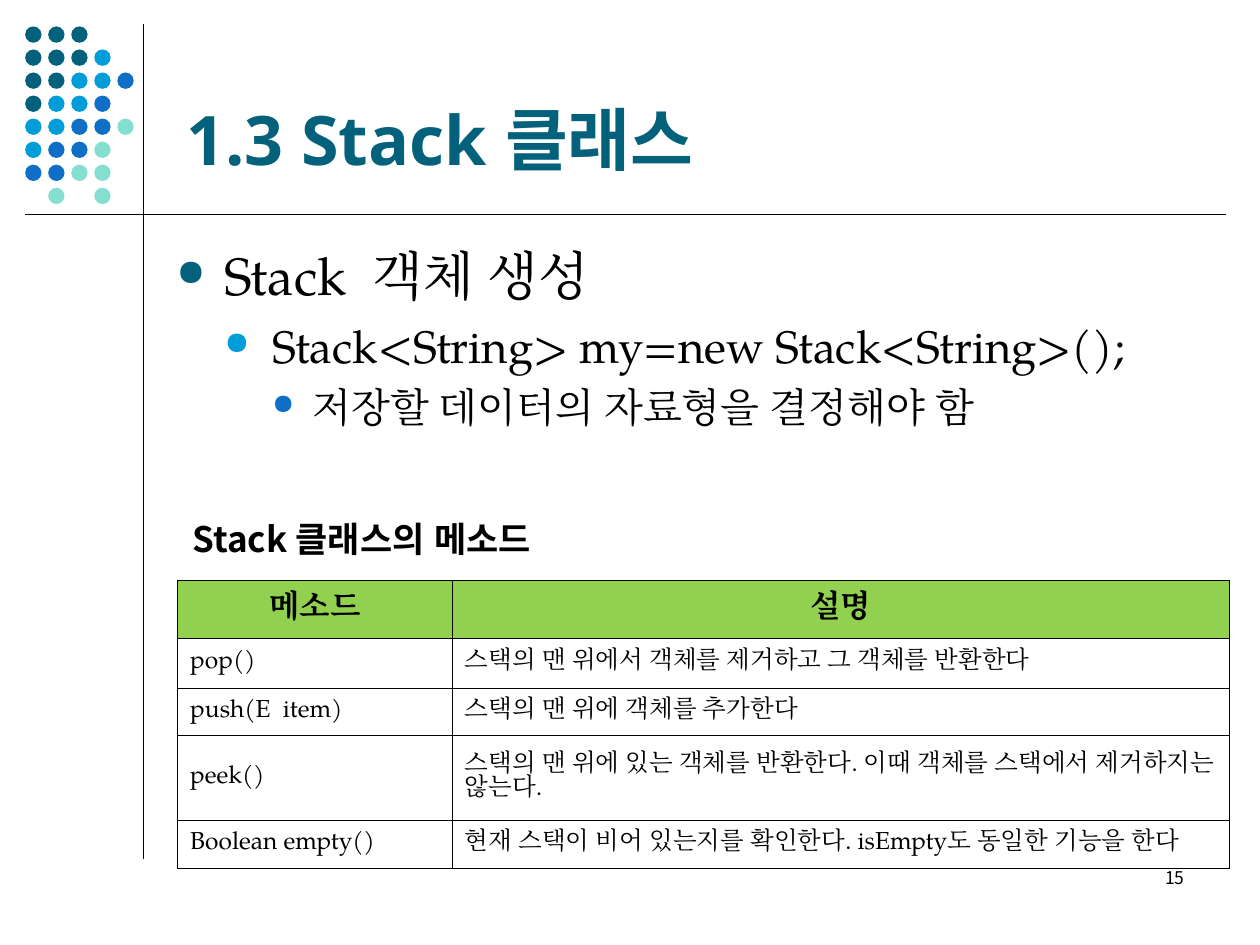
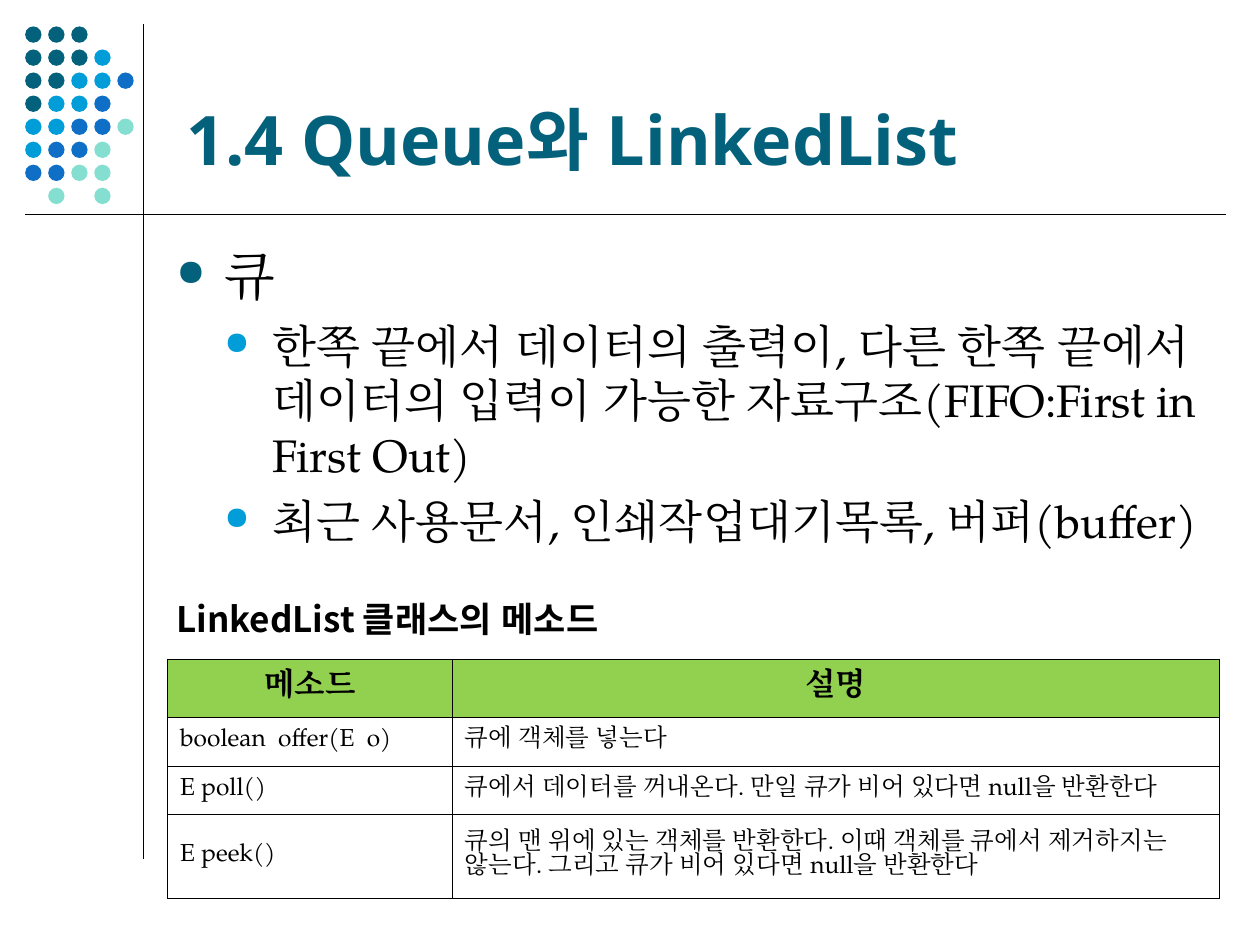
from lxml.etree import SubElement
from pptx import Presentation
from pptx.dml.color import RGBColor
from pptx.enum.shapes import MSO_CONNECTOR, MSO_SHAPE
from pptx.enum.text import MSO_ANCHOR, MSO_AUTO_SIZE, PP_ALIGN
from pptx.oxml.ns import qn
from pptx.util import Inches, Pt

BLACK = RGBColor(0x00, 0x00, 0x00)
WHITE = RGBColor(0xFF, 0xFF, 0xFF)
TEAL = RGBColor(0x04, 0x61, 0x7B)
SKY = RGBColor(0x00, 0x9D, 0xD9)
BLUE = RGBColor(0x0F, 0x6F, 0xC6)
MINT = RGBColor(0x85, 0xDF, 0xD0)
GREEN = RGBColor(0x92, 0xD0, 0x50)

HEAD = "Open Sans"
SERIF = "TeX Gyre Pagella"
SANS = "Noto Sans CJK KR"

DOTS = ["TTT", "TTTS", "TTSSB", "TSSB", "SSBBM", "SBBM", "BBMM", " M M"]
TONES = {"T": TEAL, "S": SKY, "B": BLUE, "M": MINT}
STEP = 1.28 / 7

# Per list level: text size, bullet colour, left margin, hanging indent
LEVELS = [(30, TEAL, 0.38, 0.38), (26, SKY, 0.76, 0.38), (23, BLUE, 1.08, 0.32)]


def write(para, text, size, font=SERIF, asian=None, color=BLACK, bold=False,
          align=PP_ALIGN.LEFT):
    para.alignment = align
    run = para.add_run()
    run.text = text
    run.font.size = Pt(size)
    run.font.bold = bold
    run.font.color.rgb = color
    run.font.name = font
    SubElement(run._r.get_or_add_rPr(), qn("a:ea"), typeface=asian or font)


def place(shape, left, top, width, height):
    shape.left, shape.top = Inches(left), Inches(top)
    shape.width, shape.height = Inches(width), Inches(height)


def add_line(slide, x1, y1, x2, y2):
    line = slide.shapes.add_connector(
        MSO_CONNECTOR.STRAIGHT, Inches(x1), Inches(y1), Inches(x2), Inches(y2))
    line.line.color.rgb = BLACK
    line.line.width = Pt(0.75)
    SubElement(line._element.spPr, qn("a:effectLst"))


def add_frame(slide):
    """Draw the dot pattern and the two crossing rules."""
    add_line(slide, 1.14, 0.19, 1.14, 6.82)
    for row, tones in enumerate(DOTS):
        for col, tone in enumerate(tones):
            if tone == " ":
                continue
            dot = slide.shapes.add_shape(
                MSO_SHAPE.OVAL, Inches(0.2 + col * STEP),
                Inches(0.21 + row * STEP), Inches(0.13), Inches(0.13))
            dot.shadow.inherit = False
            dot.fill.solid()
            dot.fill.fore_color.rgb = TONES[tone]
            dot.line.fill.background()
    add_line(slide, 0.2, 1.7, 9.73, 1.7)


def add_title(slide, text):
    title = slide.shapes.title
    place(title, 1.38, 0.21, 8.25, 1.26)
    frame = title.text_frame
    frame.auto_size = MSO_AUTO_SIZE.NONE
    frame.vertical_anchor = MSO_ANCHOR.BOTTOM
    write(frame.paragraphs[0], text, 39, font=HEAD, color=TEAL, bold=True)


def set_bullet(para, color, left, hang):
    props = para._p.get_or_add_pPr()
    props.set("marL", str(Inches(left)))
    props.set("indent", str(-Inches(hang)))
    tint = SubElement(props, qn("a:buClr"))
    SubElement(tint, qn("a:srgbClr"), val=str(color))
    SubElement(props, qn("a:buSzPct"), val="70000")
    SubElement(props, qn("a:buFont"), typeface="OpenSymbol")
    SubElement(props, qn("a:buChar"), char="●")


def add_list(slide, items, width):
    body = slide.placeholders[1]
    place(body, 1.3, 1.88, width, 4.82)
    frame = body.text_frame
    frame.auto_size = MSO_AUTO_SIZE.NONE
    frame.vertical_anchor = MSO_ANCHOR.TOP
    for index, (level, text) in enumerate(items):
        para = frame.add_paragraph() if index else frame.paragraphs[0]
        size, color, left, hang = LEVELS[level]
        para.level = level
        para.space_before = Pt(size / 4)
        set_bullet(para, color, left, hang)
        write(para, text, size)


def add_label(slide, text, left, top, width, height=0.44, size=20, bold=True,
              align=PP_ALIGN.LEFT, wrap=False):
    box = slide.shapes.add_textbox(
        Inches(left), Inches(top), Inches(width), Inches(height))
    frame = box.text_frame
    frame.word_wrap = wrap
    if not wrap:
        frame.auto_size = MSO_AUTO_SIZE.SHAPE_TO_FIT_TEXT
    write(frame.paragraphs[0], text, size, font=SANS, asian=HEAD, bold=bold,
          align=align)


def set_cell(cell, text, fill, **style):
    props = cell._tc.get_or_add_tcPr()
    for side in ("lnL", "lnR", "lnT", "lnB"):
        edge = SubElement(props, qn(f"a:{side}"), w=str(Pt(0.45)))
        paint = SubElement(edge, qn("a:solidFill"))
        SubElement(paint, qn("a:srgbClr"), val=str(BLACK))
    cell.fill.solid()
    cell.fill.fore_color.rgb = fill
    cell.vertical_anchor = MSO_ANCHOR.MIDDLE
    write(cell.text_frame.paragraphs[0], text, **style)


def add_methods(slide, rows, left, top, widths, heights):
    """Add a table of methods under a green header row."""
    table = slide.shapes.add_table(
        len(rows) + 1, 2, Inches(left), Inches(top),
        Inches(sum(widths)), Inches(sum(heights))).table
    table.horz_banding = False
    for column, width in zip(table.columns, widths):
        column.width = Inches(width)
    for row, height in zip(table.rows, heights):
        row.height = Inches(height)
    for col, text in enumerate(("메소드", "설명")):
        set_cell(table.cell(0, col), text, GREEN, size=18, bold=True,
                 align=PP_ALIGN.CENTER)
    for index, texts in enumerate(rows, 1):
        for col, text in enumerate(texts):
            set_cell(table.cell(index, col), text, WHITE, size=14)


def add_page(deck, title, items, width):
    slide = deck.slides.add_slide(deck.slide_layouts[1])
    add_frame(slide)
    add_title(slide, title)
    add_list(slide, items, width)
    return slide


def add_stack(deck):
    slide = add_page(deck, "1.3 Stack 클래스", [
        (0, "Stack  객체 생성"),
        (1, "Stack<String> my=new Stack<String>();"),
        (2, "저장할 데이터의 자료형을 결정해야 함"),
    ], width=8.2)
    add_label(slide, "15", 7.17, 6.83, 2.33, height=0.5, size=10, bold=False,
              align=PP_ALIGN.RIGHT, wrap=True)
    add_methods(slide, [
        ("pop()", "스택의 맨 위에서 객체를 제거하고 그 객체를 반환한다"),
        ("push(E  item)", "스택의 맨 위에 객체를 추가한다"),
        ("peek()", "스택의 맨 위에 있는 객체를 반환한다. "
                   "이때 객체를 스택에서 제거하지는 않는다."),
        ("Boolean empty()", "현재 스택이 비어 있는지를 확인한다. "
                            "isEmpty도 동일한 기능을 한다"),
    ], 1.41, 4.61, [2.18, 6.17], [0.46, 0.39, 0.38, 0.67, 0.38])
    add_label(slide, "Stack 클래스의 메소드", 1.43, 4.06, 2.96)


def add_queue(deck):
    slide = add_page(deck, "1.4 Queue와 LinkedList", [
        (0, "큐"),
        (1, "한쪽 끝에서 데이터의 출력이, 다른 한쪽 끝에서 데이터의 입력이 "
            "가능한 자료구조(FIFO:First in First Out)"),
        (1, "최근 사용문서, 인쇄작업대기목록, 버퍼(buffer)"),
    ], width=8.47)
    add_methods(slide, [
        ("boolean  offer(E  o)", "큐에 객체를 넣는다"),
        ("E poll()", "큐에서 데이터를 꺼내온다. "
                     "만일 큐가 비어 있다면 null을 반환한다"),
        ("E peek()", "큐의 맨 위에 있는 객체를 반환한다. 이때 객체를 큐에서 "
                     "제거하지는 않는다. 그리고 큐가 비어 있다면 null을 반환한다"),
    ], 1.33, 5.23, [2.26, 6.09], [0.46, 0.39, 0.38, 0.67])
    add_label(slide, "LinkedList 클래스의 메소드", 1.3, 4.69, 3.65)


def main():
    deck = Presentation()
    deck.slide_width, deck.slide_height = Inches(10), Inches(7.5)
    add_stack(deck)
    add_queue(deck)
    deck.save("out.pptx")


if __name__ == "__main__":
    main()
